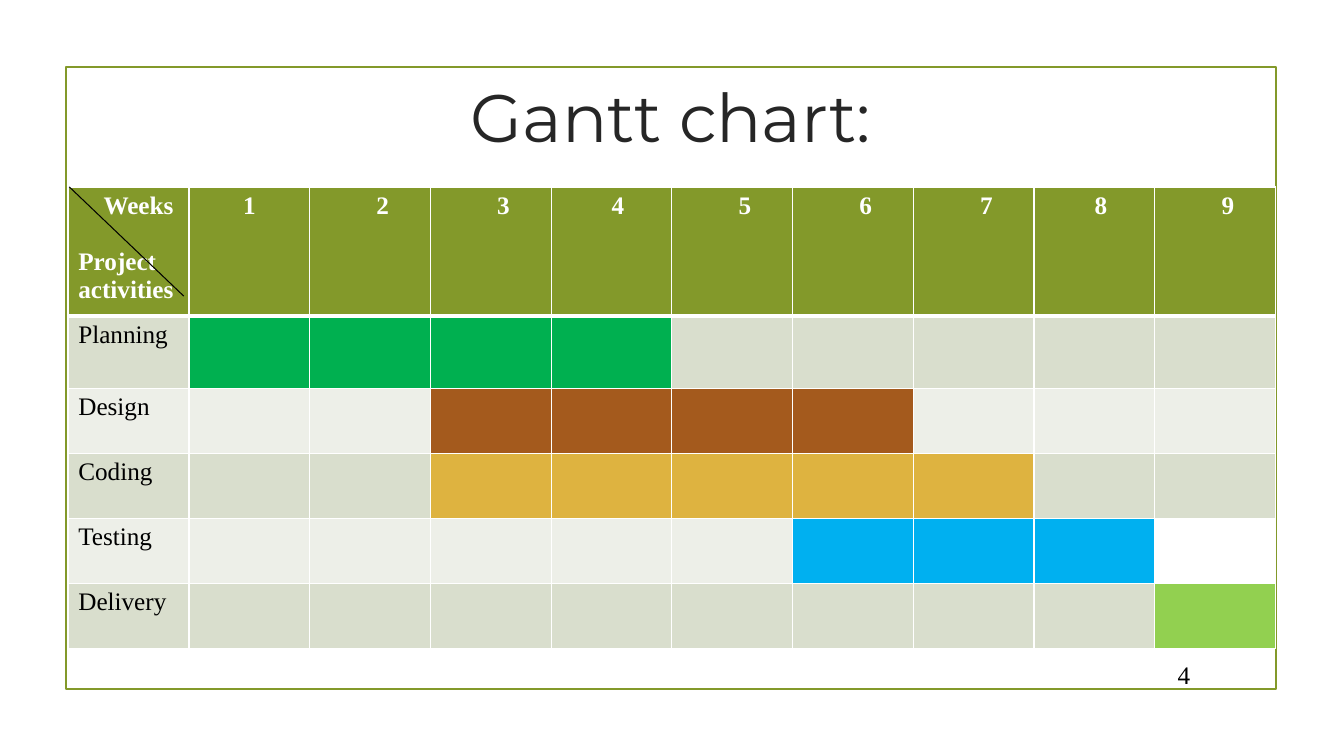
from dataclasses import dataclass

from lxml import etree
from pptx import Presentation
from pptx.dml.color import RGBColor
from pptx.enum.shapes import MSO_CONNECTOR, MSO_SHAPE
from pptx.enum.text import MSO_ANCHOR, PP_ALIGN
from pptx.oxml.ns import qn
from pptx.util import Emu, Pt

EMU_PER_PX = 9525
EMU_PER_PT = 12700
CENTER, RIGHT, LEFT = PP_ALIGN.CENTER, PP_ALIGN.RIGHT, PP_ALIGN.LEFT
MIDDLE = MSO_ANCHOR.MIDDLE
RECTANGLE, STRAIGHT = MSO_SHAPE.RECTANGLE, MSO_CONNECTOR.STRAIGHT

TITLE_FONT, BODY_FONT = "Montserrat", "Times New Roman"
COLORS = {
    "olive": "83992A",
    "title": "262626",
    "black": "000000",
    "white": "FFFFFF",
    "band_dark": "D9DECD",
    "band_light": "EDEFE8",
    "green": "00B050",
    "brown": "A45A1D",
    "gold": "DEB340",
    "blue": "00B0F0",
    "lime": "92D050",
}
WEEKS = 9
COLUMN_WIDTH = 115
HEADER_HEIGHT = 115
# Left indent in points of each week number; week 1 is centred instead.
WEEK_INDENTS = {week: 36 if week in (4, 8) else 40.5 for week in range(2, WEEKS + 1)}


@dataclass(frozen=True)
class Box:
    left: int
    top: int
    width: int
    height: int

    def emu(self) -> tuple:
        return tuple(px(side) for side in (self.left, self.top, self.width, self.height))


@dataclass(frozen=True)
class Activity:
    name: str
    first_week: int
    last_week: int
    color: str
    height: int = 62


ACTIVITIES = [
    Activity("Planning", 1, 4, "green", 69),
    Activity("Design", 3, 6, "brown"),
    Activity("Coding", 3, 7, "gold"),
    Activity("Testing", 6, 8, "blue"),
    Activity("Delivery", 9, 9, "lime"),
]


def px(length: int) -> Emu:
    return Emu(length * EMU_PER_PX)


def rgb(color: str) -> RGBColor:
    return RGBColor.from_string(COLORS[color])


def style_paragraph(para, text: str, font: str, size: int, color: str,
                    align=LEFT, bold: bool = False, indent: float = 0) -> None:
    para.text = text
    para.alignment = align
    para.font.name = font
    para.font.size = Pt(size)
    para.font.bold = bold
    para.font.color.rgb = rgb(color)
    if indent:
        para._p.get_or_add_pPr().set("marL", str(int(indent * EMU_PER_PT)))


def add_text(page, box: Box, text: str, font: str, size: int, color: str, align) -> None:
    frame = page.shapes.add_textbox(*box.emu()).text_frame
    frame.word_wrap = True
    frame.vertical_anchor = MIDDLE
    style_paragraph(frame.paragraphs[0], text, font, size, color, align)


def add_frame(page, box: Box) -> None:
    frame = page.shapes.add_shape(RECTANGLE, *box.emu())
    frame.shadow.inherit = False
    frame.fill.background()
    frame.line.color.rgb = rgb("olive")
    frame.line.width = Pt(1.25)


def add_diagonal(page, left: int, top: int, right: int, bottom: int) -> None:
    line = page.shapes.add_connector(STRAIGHT, px(left), px(top), px(right), px(bottom))
    line.line.color.rgb = rgb("black")
    line.line.width = Pt(0.75)
    etree.SubElement(line._element.spPr, qn("a:effectLst"))


def paint_cell(cell, color: str, top: int = 1, bottom: int = 1) -> None:
    """Fill the cell and give it white borders, with widths in points."""
    properties = cell._tc.get_or_add_tcPr()
    for side, width in (("L", 1), ("R", 1), ("T", top), ("B", bottom)):
        border = etree.SubElement(properties, qn(f"a:ln{side}"), w=str(width * EMU_PER_PT))
        fill = etree.SubElement(border, qn("a:solidFill"))
        etree.SubElement(fill, qn("a:srgbClr"), val=COLORS["white"])
    cell.fill.solid()
    cell.fill.fore_color.rgb = rgb(color)


def fill_header(table) -> None:
    for week in range(WEEKS + 1):
        cell = table.cell(0, week)
        paint_cell(cell, "olive", bottom=3)
        para = cell.text_frame.paragraphs[0]
        style_paragraph(para, str(week) if week else "Weeks", BODY_FONT, 18, "white",
                        CENTER if week == 1 else LEFT, True,
                        WEEK_INDENTS.get(week, 0) if week else 18)
    corner = table.cell(0, 0).text_frame.add_paragraph()
    style_paragraph(corner, "Project activities", BODY_FONT, 18, "white", bold=True)
    corner.space_before = Pt(20)


def activity_color(activity: Activity, week: int, band: str) -> str:
    if activity.first_week <= week <= activity.last_week:
        return activity.color
    if activity.name == "Testing" and week == WEEKS:
        return "white"
    return band


def add_gantt(page, left: int, top: int) -> None:
    heights = [HEADER_HEIGHT] + [activity.height for activity in ACTIVITIES]
    box = Box(left, top, COLUMN_WIDTH * (WEEKS + 1), sum(heights))
    table = page.shapes.add_table(len(heights), WEEKS + 1, *box.emu()).table
    table.horz_banding = False
    for column in table.columns:
        column.width = px(COLUMN_WIDTH)
    for row, height in zip(table.rows, heights):
        row.height = px(height)
    fill_header(table)
    for index, activity in enumerate(ACTIVITIES, start=1):
        band = "band_dark" if index % 2 else "band_light"
        for week in range(WEEKS + 1):
            paint_cell(table.cell(index, week), activity_color(activity, week, band),
                       top=3 if index == 1 else 1)
        style_paragraph(table.cell(index, 0).text_frame.paragraphs[0],
                        activity.name, BODY_FONT, 18, "black")


def main() -> None:
    deck = Presentation()
    deck.slide_width, deck.slide_height = px(1280), px(720)
    page = deck.slides.add_slide(deck.slide_layouts[6])
    add_frame(page, Box(63, 64, 1152, 592))
    add_text(page, Box(65, 66, 1148, 88), "Gantt chart:", TITLE_FONT, 48, "title", CENTER)
    add_gantt(page, 65, 178)
    add_diagonal(page, 66, 178, 175, 282)
    add_text(page, Box(1087, 627, 56, 30), "4", BODY_FONT, 18, "black", RIGHT)
    deck.save("out.pptx")


if __name__ == "__main__":
    main()
